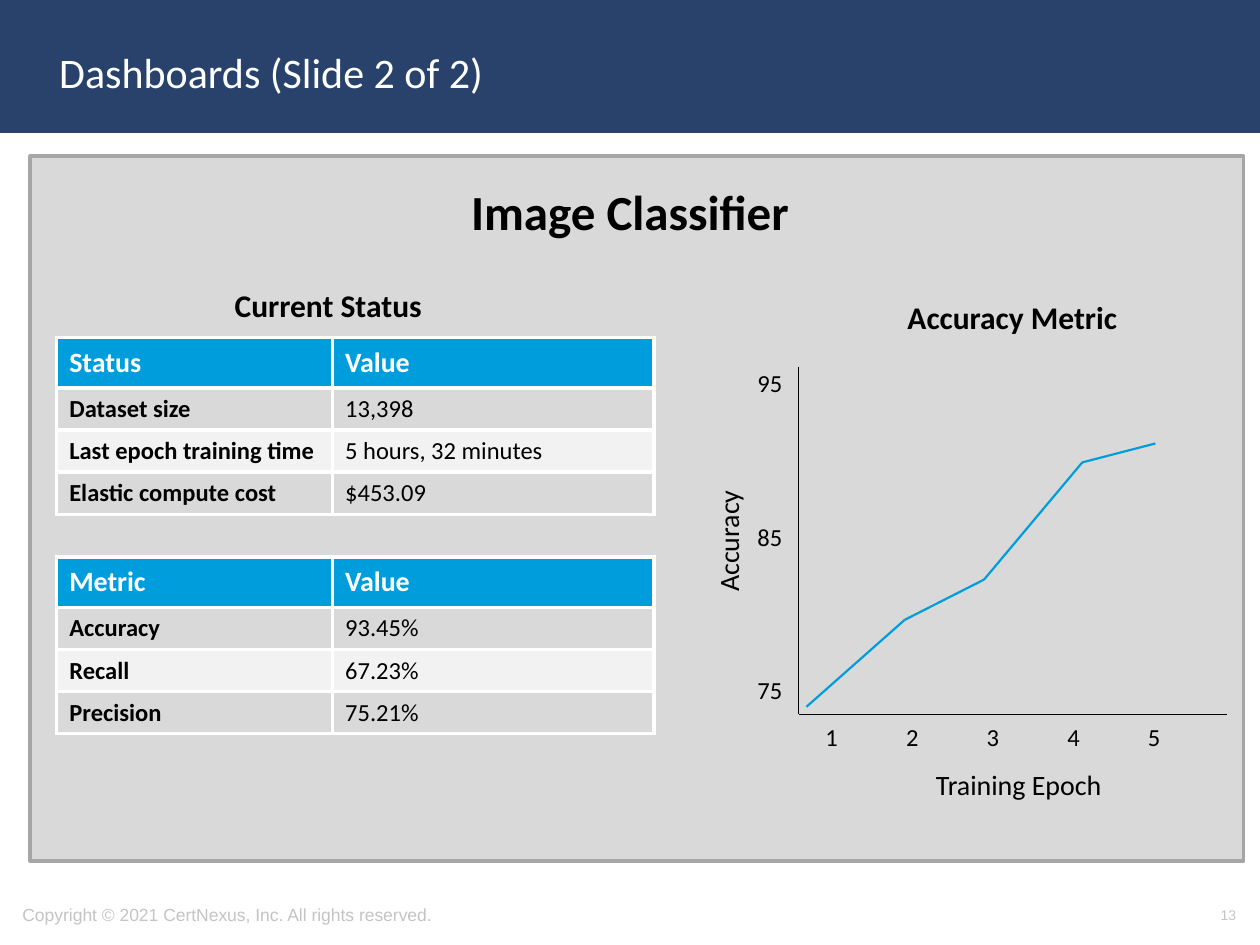
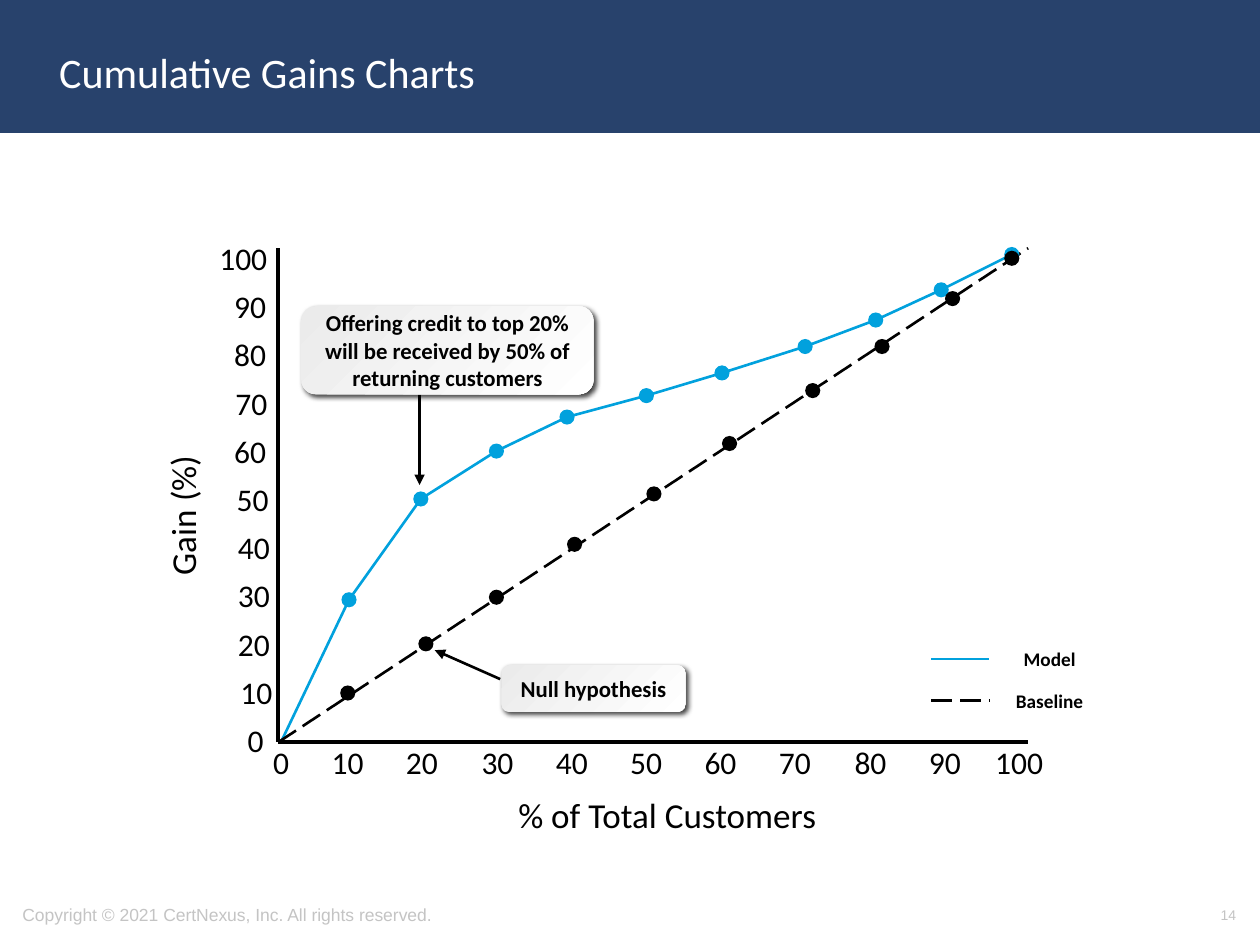
from itertools import pairwise

from lxml import etree
from pptx import Presentation
from pptx.dml.color import RGBColor
from pptx.enum.dml import MSO_LINE
from pptx.enum.shapes import MSO_CONNECTOR, MSO_SHAPE
from pptx.enum.text import MSO_ANCHOR, PP_ALIGN
from pptx.oxml import parse_xml
from pptx.oxml.ns import nsdecls, qn
from pptx.util import Pt

PX = 9144  # 100 px to the inch
LEFT, CENTER, RIGHT = PP_ALIGN.LEFT, PP_ALIGN.CENTER, PP_ALIGN.RIGHT
MIDDLE, TOP = MSO_ANCHOR.MIDDLE, MSO_ANCHOR.TOP
RECTANGLE, ROUNDED, OVAL = MSO_SHAPE.RECTANGLE, MSO_SHAPE.ROUNDED_RECTANGLE, MSO_SHAPE.OVAL
STRAIGHT, LONG_DASH = MSO_CONNECTOR.STRAIGHT, MSO_LINE.LONG_DASH

NAVY = RGBColor(0x28, 0x42, 0x6C)
CYAN = RGBColor(0x00, 0x9D, 0xDC)
MODEL_BLUE = RGBColor(0x01, 0xA1, 0xDD)
BLACK = RGBColor(0x00, 0x00, 0x00)
WHITE = RGBColor(0xFF, 0xFF, 0xFF)
PANEL_GRAY = RGBColor(0xD9, 0xD9, 0xD9)
PANEL_EDGE = RGBColor(0xA6, 0xA6, 0xA6)
STRIPE = RGBColor(0xF2, 0xF2, 0xF2)
CALLOUT_GRAY = RGBColor(0xEB, 0xEB, 0xEB)
FOOTER_GRAY = RGBColor(0xC4, 0xC4, 0xC4)
BODY_FONT, FOOTER_FONT = "Calibri", "Arial"

# Shared content
COPYRIGHT = "Copyright © 2021 CertNexus, Inc. All rights reserved."

# Dashboard content
DASHBOARD_HEADINGS = [  # text, box, size
    ("Current Status", (37, 222, 447, 40), 18),
    ("Image Classifier", (207, 139, 586, 57), 28),
    ("Accuracy Metric", (637, 232, 333, 40), 18),
]
STATUS_TABLES = [  # top, rows
    (268, [("Status", "Value"), ("Dataset size", "13,398"),
           ("Last epoch training time", "5 hours, 32 minutes"),
           ("Elastic compute cost", "$453.09")]),
    (442, [("Metric", "Value"), ("Accuracy", "93.45%"),
           ("Recall", "67.23%"), ("Precision", "75.21%")]),
]
COLUMN_WIDTHS = (219, 255)
HEADER_HEIGHT, ROW_HEIGHT = 40, 33
ACCURACY_POINTS = [(640, 561), (718, 492), (781, 460), (859, 367), (917, 352)]
ACCURACY_LABELS = ["95", "85", "75"]
EPOCH_LABELS = ["1", "2", "3", "4", "5"]

# Cumulative gains content
ORIGIN = (221, 589)
AXIS_RIGHT, AXIS_TOP = 816, 197
MODEL_POINTS = [(277, 476), (334, 396), (394, 358), (450, 331), (513, 314),
                (573, 296), (639, 275), (695, 254), (747, 230), (803, 202)]
BASELINE_POINTS = [(276, 550), (338, 511), (394, 474), (456, 432), (519, 392),
                   (579, 352), (645, 310), (700, 275), (756, 237), (803, 205)]
PERCENTS = list(range(0, 101, 10))
GAIN_LABEL_LEFTS = [153, 160, 158, 158, 158, 157, 155, 156, 155, 155, 156]
DOT = 12
CALLOUTS = [  # text, box, arrow start, arrow end
    ("Offering credit to top 20% will be received by 50% of returning customers",
     (239, 243, 232, 70), (333, 313), (333, 385)),
    ("Null hypothesis", (398, 528, 146, 37), (397, 539), (345, 516)),
]
LEGEND = [("Model", MODEL_BLUE, None, 523), ("Baseline", BLACK, LONG_DASH, 556)]


def px(*lengths):
    return [round(length * PX) for length in lengths]


def style_text(text_frame, size, color=BLACK, bold=False, align=CENTER, font=BODY_FONT):
    for paragraph in text_frame.paragraphs:
        paragraph.alignment = align
        for run in paragraph.runs:
            run.font.name = font
            run.font.size = Pt(size)
            run.font.bold = bold
            run.font.color.rgb = color


def add_text(slide, text, box, size, anchor=TOP, rotation=0, **style):
    shape = slide.shapes.add_textbox(*px(*box))
    shape.rotation = rotation
    shape.text_frame.word_wrap = True
    shape.text_frame.vertical_anchor = anchor
    shape.text_frame.text = text
    style_text(shape.text_frame, size, **style)
    return shape


def add_block(slide, kind, box, fill, edge=None, width=1):
    shape = slide.shapes.add_shape(kind, *px(*box))
    shape.shadow.inherit = False
    shape.fill.solid()
    shape.fill.fore_color.rgb = fill
    if edge is None:
        shape.line.fill.background()
    else:
        shape.line.color.rgb = edge
        shape.line.width = Pt(width)
    return shape


def add_line(slide, start, end, color, width, dash=None, arrow=False):
    connector = slide.shapes.add_connector(STRAIGHT, *px(*start, *end))
    connector.line.color.rgb = color
    connector.line.width = Pt(width)
    if dash is not None:
        connector.line.dash_style = dash
    properties = connector.element.spPr
    if arrow:
        etree.SubElement(properties.find(qn("a:ln")), qn("a:tailEnd"), type="triangle")
    etree.SubElement(properties, qn("a:effectLst"))


def add_polyline(slide, points, color, width):
    for start, end in pairwise(points):
        add_line(slide, start, end, color, width)


def new_slide(presentation, title_text, number):
    """Add a slide with the title band and the footer."""
    slide = presentation.slides.add_slide(presentation.slide_layouts[5])
    title = slide.shapes.title
    title.left, title.top, title.width, title.height = px(37, 11, 862, 92)
    title.text_frame.text = title_text
    title.text_frame.vertical_anchor = MIDDLE
    style_text(title.text_frame, 24, WHITE, align=LEFT)
    band = add_block(slide, RECTANGLE, (0, 0, 1000, 104), NAVY, NAVY, 2)
    title.element.addprevious(band.element)
    footer = {"anchor": MIDDLE, "color": FOOTER_GRAY, "font": FOOTER_FONT}
    add_text(slide, COPYRIGHT, (8, 706, 527, 40), 10, align=LEFT, **footer)
    add_text(slide, str(number), (758, 706, 233, 40), 8, align=RIGHT, **footer)
    return slide


def add_cell_borders(cell):
    properties = cell._tc.get_or_add_tcPr()
    for side in ("lnL", "lnR", "lnT", "lnB"):
        properties.append(parse_xml(
            f'<a:{side} {nsdecls("a")} w="{Pt(2.25)}"><a:solidFill>'
            f'<a:srgbClr val="{WHITE}"/></a:solidFill></a:{side}>'))


def add_status_table(slide, top, rows):
    heights = [HEADER_HEIGHT] + [ROW_HEIGHT] * (len(rows) - 1)
    box = px(45, top, sum(COLUMN_WIDTHS), sum(heights))
    table = slide.shapes.add_table(len(rows), len(COLUMN_WIDTHS), *box).table
    for column, width in zip(table.columns, px(*COLUMN_WIDTHS)):
        column.width = width
    for row, height in zip(table.rows, px(*heights)):
        row.height = height
    for row_index, row in enumerate(rows):
        header = row_index == 0
        fill = CYAN if header else PANEL_GRAY if row_index % 2 else STRIPE
        for column_index, text in enumerate(row):
            cell = table.cell(row_index, column_index)
            add_cell_borders(cell)
            cell.fill.solid()
            cell.fill.fore_color.rgb = fill
            cell.vertical_anchor = MIDDLE
            cell.text_frame.text = text
            style_text(cell.text_frame, 16 if header else 14, WHITE if header else BLACK,
                       bold=header or column_index == 0, align=LEFT)


def add_callout(slide, text, box):
    shape = add_block(slide, ROUNDED, box, WHITE)
    shape.fill.gradient()
    shape.fill.gradient_angle = 315
    for stop, color, position in zip(shape.fill.gradient_stops, (CALLOUT_GRAY, WHITE), (0, 1)):
        stop.color.rgb = color
        stop.position = position
    effects = shape.element.spPr.find(qn("a:effectLst"))
    effects.append(parse_xml(
        f'<a:outerShdw {nsdecls("a")} blurRad="{Pt(3)}" dist="{Pt(2)}" dir="2700000" '
        f'algn="tl" rotWithShape="0"><a:srgbClr val="{BLACK}"><a:alpha val="75000"/>'
        '</a:srgbClr></a:outerShdw>'))
    shape.text_frame.word_wrap = True
    shape.text_frame.vertical_anchor = MIDDLE
    shape.text_frame.text = text
    style_text(shape.text_frame, 13, bold=True)


def add_percent_axis(slide):
    """Write the horizontal scale as one line with centred tab stops."""
    shape = add_text(slide, "\t".join(map(str, PERCENTS)), (207, 585, 641, 40), 18, align=LEFT)
    properties = shape.text_frame.paragraphs[0]._p.get_or_add_pPr()
    tabs = etree.SubElement(properties, qn("a:tabLst"))
    for index in range(1, len(PERCENTS)):
        position = px(round(59.2 * index))[0]
        etree.SubElement(tabs, qn("a:tab"), pos=str(position), algn="ctr")


def build_dashboard(presentation):
    slide = new_slide(presentation, "Dashboards (Slide 2 of 2)", 13)
    add_block(slide, RECTANGLE, (24, 124, 963, 559), PANEL_GRAY, PANEL_EDGE, 2.25)
    for text, box, size in DASHBOARD_HEADINGS:
        add_text(slide, text, box, size, bold=True)

    # Accuracy plot
    add_polyline(slide, [(634, 291), (634, 567), (974, 567)], BLACK, 0.75)
    add_text(slide, "Accuracy", (501, 411, 154, 37), 16, rotation=270)
    add_text(slide, "Training Epoch", (728, 604, 161, 37), 16)
    for index, label in enumerate(EPOCH_LABELS):
        add_text(slide, label, (645 + 64 * index, 568, 30, 34), 14)
    for index, label in enumerate(ACCURACY_LABELS):
        add_text(slide, label, (589, 287 + 122 * index, 44, 34), 14)
    add_polyline(slide, ACCURACY_POINTS, CYAN, 1.25)

    for top, rows in STATUS_TABLES:
        add_status_table(slide, top, rows)


def build_gains_chart(presentation):
    slide = new_slide(presentation, "Cumulative Gains Charts", 14)
    origin_x, origin_y = ORIGIN

    # Lines and axes
    add_polyline(slide, [(223, origin_y)] + MODEL_POINTS, MODEL_BLUE, 1.5)
    add_polyline(slide, [(origin_x, AXIS_TOP), ORIGIN, (AXIS_RIGHT, origin_y)], BLACK, 2.25)
    add_line(slide, ORIGIN, (AXIS_RIGHT, AXIS_TOP), BLACK, 1.5, LONG_DASH)

    # Scales and axis titles
    add_percent_axis(slide)
    for index, (percent, left) in enumerate(zip(PERCENTS, GAIN_LABEL_LEFTS)):
        top = round(567 - 38.2 * index)
        add_text(slide, str(percent), (left, top, 66, 40), 18, align=RIGHT)
    add_text(slide, "% of Total Customers", (395, 625, 269, 44), 20)
    add_text(slide, "Gain (%)", (82, 387, 126, 44), 20, rotation=270)

    # Markers
    for points, color in ((MODEL_POINTS, MODEL_BLUE), (BASELINE_POINTS, BLACK)):
        for x, y in points:
            add_block(slide, OVAL, (x - DOT // 2, y - DOT // 2, DOT, DOT), color)

    # Callouts and legend
    for text, box, start, end in CALLOUTS:
        add_line(slide, start, end, BLACK, 1.5, arrow=True)
        add_callout(slide, text, box)
    for label, color, dash, y in LEGEND:
        add_line(slide, (739, y), (785, y), color, 1.5, dash)
        add_text(slide, label, (789, y - 14, 88, 29), 11, bold=True)


def main():
    presentation = Presentation()
    presentation.slide_width, presentation.slide_height = px(1000, 750)
    build_dashboard(presentation)
    build_gains_chart(presentation)
    presentation.save("out.pptx")


if __name__ == "__main__":
    main()
